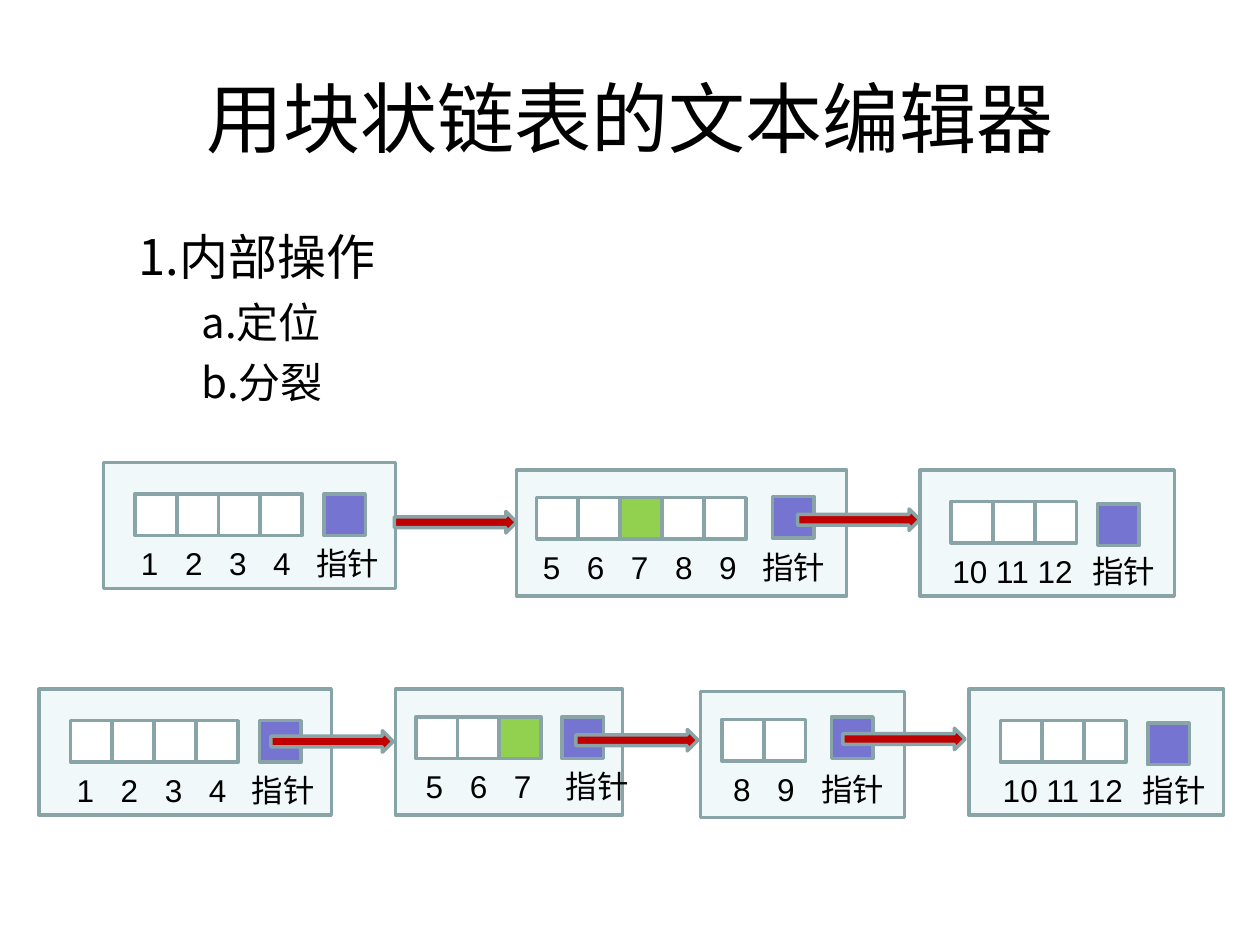
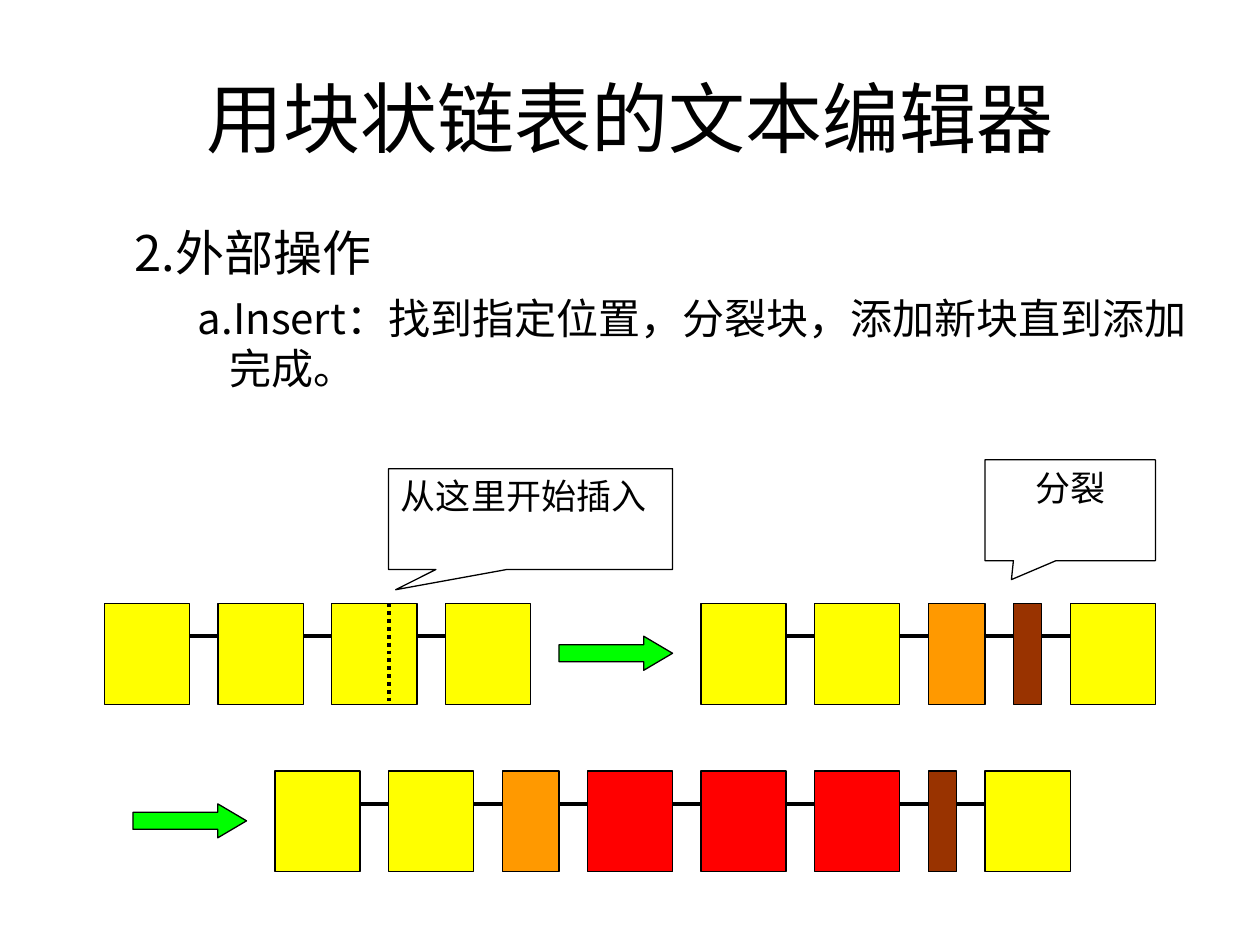
from lxml.etree import SubElement
from pptx import Presentation
from pptx.dml.color import RGBColor
from pptx.enum.dml import MSO_LINE
from pptx.enum.shapes import MSO_CONNECTOR, MSO_SHAPE
from pptx.enum.text import MSO_ANCHOR, MSO_AUTO_SIZE, PP_ALIGN
from pptx.oxml.ns import qn
from pptx.util import Inches, Pt

COLORS = {
    "black": "000000", "white": "FFFFFF", "block": "BBE0E3", "edge": "89A4A7",
    "pointer": "7575D1", "found": "92D050", "link": "C00000",
    "yellow": "FFFF00", "orange": "FF9900", "brown": "993300",
    "red": "FF0000", "green": "00FF00",
}
CJK_FONT = "Noto Sans CJK JP"
TITLE = "用块状链表的文本编辑器"
TITLE_BOX = (0.5, 0.3, 9, 1.25)
# Outline level: left margin, first-line indent, space before, size
LEVELS = {1: (0.81, -0.31, 7, 28), 2: (1.25, -0.25, 6, 24)}

INNER_BOX = (0.5, 1.75, 8.17, 1.69)
INNER_OUTLINE = [(1, "1.内部操作"), (2, "a.定位"), (2, "b.分裂")]
OUTER_BOX = (0.47, 1.72, 9.11, 1.56)
OUTER_OUTLINE = [
    (1, "2.外部操作"),
    (2, "a.Insert：找到指定位置，分裂块，添加新块直到添加完成。"),
]

# Linked blocks: box, first cell, pointer corner, label corner, label, pointer tab
CELL = 0.33
CELL_STEP = 0.333
DIGIT_STEP = 0.35
FOUND = "7"
BLOCKS = [
    ((0.82, 3.67, 2.32), (1.07, 3.92), (2.57, 3.92), (1.02, 4.27), "1 2 3 4", 1.39),
    ((4.1, 3.73, 2.62), (4.26, 3.95), (6.13, 3.94), (4.21, 4.3), "5 6 7 8 9", 1.74),
    ((7.3, 3.73, 2.02), (7.55, 3.98), (8.71, 4), (7.46, 4.33), "10 11 12", 1.11),
    ((0.31, 5.47, 2.32), (0.56, 5.72), (2.06, 5.72), (0.51, 6.07), "1 2 3 4", 1.39),
    ((3.14, 5.47, 1.8), (3.3, 5.69), (4.46, 5.69), (3.28, 6.04), "5 6 7", 1.11),
    ((5.56, 5.49, 1.62), (5.73, 5.71), (6.6, 5.69), (5.72, 6.06), "8 9", 0.7),
    ((7.69, 5.47, 2.02), (7.94, 5.72), (9.11, 5.74), (7.86, 6.07), "10 11 12", 1.11),
]
LINKS = [(3.13, 4.06), (6.33, 4.04), (2.15, 5.8), (4.57, 5.79), (6.69, 5.78)]

# Insert diagram: columns count from the left edge in grid units
GRID_LEFT, GRID_RIGHT, GRID_COLUMNS = 0.83, 9.17, 37
UNIT = (GRID_RIGHT - GRID_LEFT) / GRID_COLUMNS
PIECE_HEIGHT = 0.8
PIECE_UNITS = {"yellow": 3, "red": 3, "orange": 2, "brown": 1}
CHAINS = [
    (0, 4.79, ["yellow"] * 4),
    (21, 4.79, ["yellow", "yellow", "orange", "brown", "yellow"]),
    (6, 6.12, ["yellow", "yellow", "orange", "red", "red", "red", "brown", "yellow"]),
]
STEPS = [(16, 5.05), (1, 6.38)]
SPLIT_COLUMN = 10
CALLOUTS = [
    (10, 3.72, 10, (-0.475, 0.701), "从这里开始插入", PP_ALIGN.JUSTIFY),
    (31, 3.65, 6, (-0.345, 0.688), "分裂", PP_ALIGN.CENTER),
]


def rgb(name):
    return RGBColor.from_string(COLORS[name])


def column_x(column):
    return GRID_LEFT + column * UNIT


def place(shape, box):
    for side, length in zip(("left", "top", "width", "height"), box):
        setattr(shape, side, Inches(length))


def write(paragraph, text, size, font_name=CJK_FONT):
    run = paragraph.add_run()
    run.text = text
    for attribute, value in {"size": Pt(size), "name": font_name}.items():
        setattr(run.font, attribute, value)
    run.font.color.rgb = rgb("black")
    SubElement(run.font._element, qn("a:ea")).set("typeface", CJK_FONT)


def add_block_shape(slide, box, fill, edge="edge", edge_width=2,
                    kind=MSO_SHAPE.RECTANGLE, adjustments=()):
    shape = slide.shapes.add_shape(kind, *map(Inches, box))
    shape.shadow.inherit = False
    for index, value in enumerate(adjustments):
        shape.adjustments[index] = value
    shape.fill.solid()
    shape.fill.fore_color.rgb = rgb(fill)
    shape.line.color.rgb = rgb(edge)
    shape.line.width = Pt(edge_width)
    return shape


def add_line(slide, x1, y1, x2, y2):
    line = slide.shapes.add_connector(
        MSO_CONNECTOR.STRAIGHT, *map(Inches, (x1, y1, x2, y2)))
    line.line.color.rgb = rgb("black")
    line.line.width = Pt(2.25)
    SubElement(line._element.spPr, qn("a:effectLst"))
    return line


def add_outline_slide(deck, box, outline):
    slide = deck.slides.add_slide(deck.slide_layouts[1])
    title, body = slide.placeholders
    place(title, TITLE_BOX)
    title.text_frame.vertical_anchor = MSO_ANCHOR.MIDDLE
    heading = title.text_frame.paragraphs[0]
    heading.alignment = PP_ALIGN.CENTER
    write(heading, TITLE, 44)

    place(body, box)
    frame = body.text_frame
    frame.auto_size = MSO_AUTO_SIZE.TEXT_TO_FIT_SHAPE
    for index, (level, text) in enumerate(outline):
        item = frame.add_paragraph() if index else frame.paragraphs[0]
        margin, indent, before, size = LEVELS[level]
        item.level = level
        item.space_before = Pt(before if index else 0)
        properties = item._p.get_or_add_pPr()
        properties.set("marL", str(Inches(margin)))
        properties.set("indent", str(Inches(indent)))
        SubElement(properties, qn("a:buNone"))
        write(item, text, size)
    return slide


def add_label(slide, corner, digits, pointer_tab):
    """Write the cell numbers and the pointer caption, spaced by tab stops."""
    box = slide.shapes.add_textbox(*map(Inches, (*corner, pointer_tab + 0.8, 0.4)))
    box.text_frame.word_wrap = True
    caption = box.text_frame.paragraphs[0]
    numbers = digits.split()
    single = len(numbers[0]) == 1
    stops = [DIGIT_STEP * n for n in range(1, len(numbers))] if single else []
    tabs = SubElement(caption._p.get_or_add_pPr(), qn("a:tabLst"))
    for stop in stops + [pointer_tab]:
        SubElement(tabs, qn("a:tab"), pos=str(Inches(stop)), algn="l")
    text = "\t".join(numbers) if single else digits
    write(caption, text + "\t指针", 18, "Arial")


def add_linked_block(slide, box, first_cell, pointer, label, digits, pointer_tab):
    block = add_block_shape(slide, (*box, 1), "block")
    color = block.fill._xPr.find(qn("a:solidFill"))[0]
    SubElement(color, qn("a:alpha")).set("val", "21000")
    x, y = first_cell
    for index, digit in enumerate(digits.split()):
        add_block_shape(slide, (x + index * CELL_STEP, y, CELL, CELL),
                        "found" if digit == FOUND else "white")
    add_block_shape(slide, (*pointer, CELL, CELL), "pointer")
    add_label(slide, label, digits, pointer_tab)


def add_chain(slide, column, top, pieces):
    for index, piece in enumerate(pieces):
        units = PIECE_UNITS[piece]
        x = column_x(column)
        add_block_shape(slide, (x, top, units * UNIT, PIECE_HEIGHT),
                        piece, "black", 0.75)
        if index:
            add_line(slide, x - UNIT, top + 0.26, x, top + 0.26)
        column += units + 1


def build_inner_slide(deck):
    slide = add_outline_slide(deck, INNER_BOX, INNER_OUTLINE)
    for block in BLOCKS:
        add_linked_block(slide, *block)
    for corner in LINKS:
        add_block_shape(slide, (*corner, 0.97, 0.17), "link",
                        kind=MSO_SHAPE.RIGHT_ARROW, adjustments=(0.5, 0.5))


def build_outer_slide(deck):
    slide = add_outline_slide(deck, OUTER_BOX, OUTER_OUTLINE)
    for chain in CHAINS:
        add_chain(slide, *chain)
    split_x, split_top = column_x(SPLIT_COLUMN), CHAINS[0][1]
    split = add_line(slide, split_x, split_top, split_x, split_top + PIECE_HEIGHT)
    split.line.dash_style = MSO_LINE.ROUND_DOT
    for column, top in STEPS:
        add_block_shape(slide, (column_x(column), top, 4 * UNIT, 0.27), "green",
                        "black", 0.75, MSO_SHAPE.RIGHT_ARROW, (0.5, 0.846))
    for column, top, units, tip, text, alignment in CALLOUTS:
        callout = add_block_shape(
            slide, (column_x(column), top, units * UNIT, PIECE_HEIGHT), "white",
            "black", 0.75, MSO_SHAPE.RECTANGULAR_CALLOUT, tip)
        callout.text_frame.vertical_anchor = MSO_ANCHOR.TOP
        remark = callout.text_frame.paragraphs[0]
        remark.alignment = alignment
        write(remark, text, 20, "Times New Roman")


def main():
    deck = Presentation()
    deck.slide_width, deck.slide_height = Inches(10), Inches(7.5)
    build_inner_slide(deck)
    build_outer_slide(deck)
    deck.save("out.pptx")


if __name__ == "__main__":
    main()
